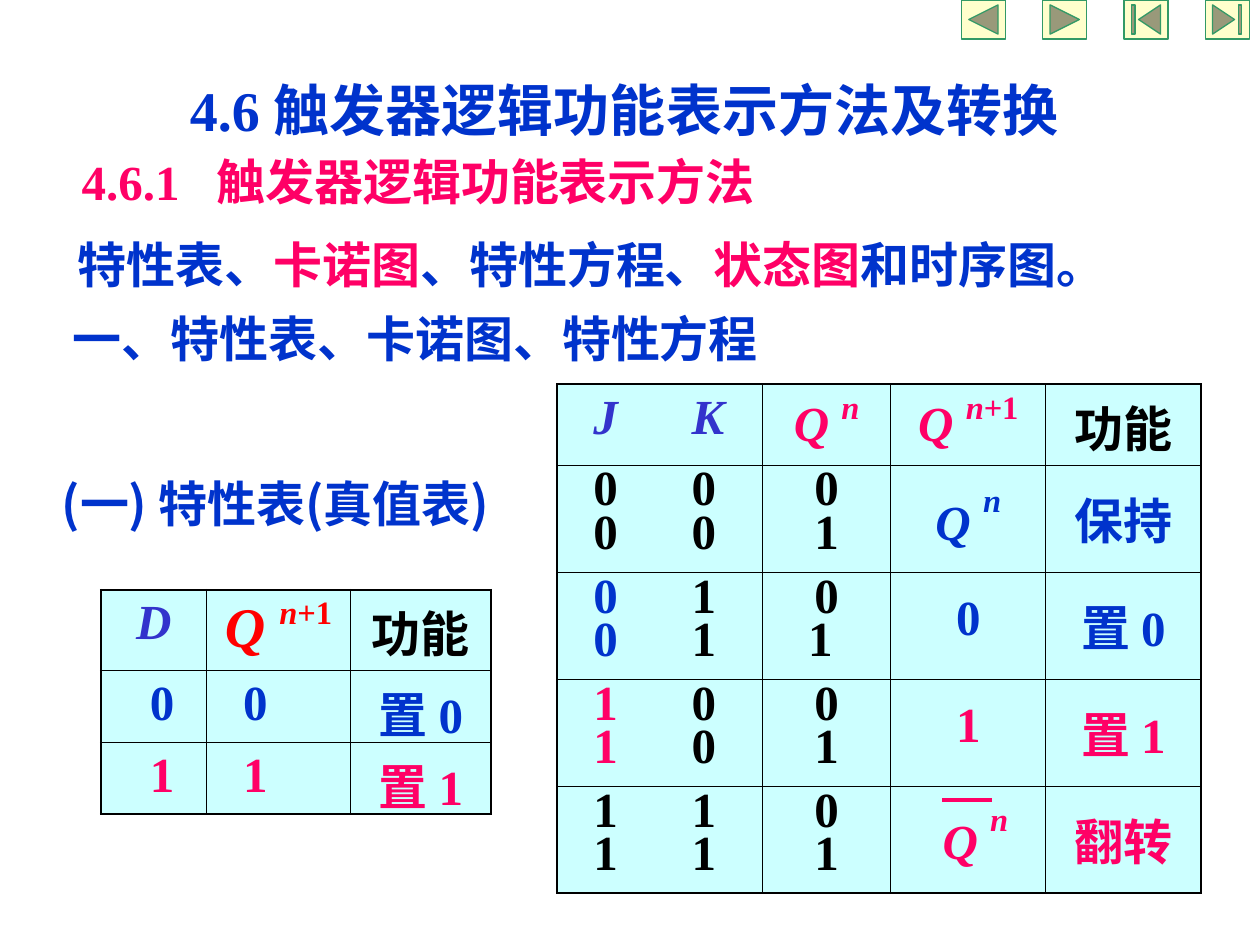
from lxml.etree import SubElement
from pptx import Presentation
from pptx.dml.color import RGBColor
from pptx.enum.shapes import MSO_CONNECTOR, MSO_SHAPE
from pptx.enum.text import MSO_ANCHOR, MSO_AUTO_SIZE, PP_ALIGN
from pptx.oxml.ns import qn
from pptx.util import Inches, Pt

BLUE = RGBColor(0x00, 0x33, 0xCC)
PINK = RGBColor(0xFF, 0x00, 0x66)
INDIGO = RGBColor(0x33, 0x33, 0xCC)
RED = RGBColor(0xFF, 0x00, 0x00)
BLACK = RGBColor(0x00, 0x00, 0x00)
CYAN = RGBColor(0xCC, 0xFF, 0xFF)
CREAM = RGBColor(0xFF, 0xFF, 0xCC)
GREEN = RGBColor(0x33, 0x99, 0x66)

SERIF = "Times New Roman"
HAN = "Noto Sans CJK SC"
COLS, ROWS = 100, 75  # slide grid
LEFT, MID = PP_ALIGN.LEFT, PP_ALIGN.CENTER


class Deck:
    """Holds the style, the grid and the current slide."""

    base = dict(size=28, name=SERIF, bold=True, italic=False, color=BLUE)

    def __init__(self):
        self.prs = Presentation()
        self.prs.slide_width, self.prs.slide_height = Inches(10), Inches(7.5)
        self.slide = self.prs.slides.add_slide(self.prs.slide_layouts[5])
        self.shapes = self.slide.shapes

    def x(self, col):
        return round(self.prs.slide_width * col / COLS)

    def y(self, row):
        return round(self.prs.slide_height * row / ROWS)

    def area(self, col, row, wide, high):
        return self.x(col), self.y(row), self.x(wide), self.y(high)

    def run(self, para, text, **fmt):
        run = para.add_run()
        run.text = text
        fmt = {**self.base, **fmt}
        run.font.color.rgb = fmt.pop("color")
        lift = fmt.pop("lift", 0)
        fmt["size"] = Pt(fmt["size"])
        for key, val in fmt.items():
            setattr(run.font, key, val)
        props = run._r.get_or_add_rPr()
        SubElement(props, qn("a:ea"), typeface=HAN)
        if lift:
            props.set("baseline", str(lift * 1000))

    def put(self, frame, lines, align=LEFT, gap=1.0, tab=None):
        """Fill a frame; each line is a list of (text, format) pairs."""
        for num, line in enumerate(lines):
            para = frame.paragraphs[0] if num == 0 else frame.add_paragraph()
            para.alignment, para.line_spacing = align, gap
            if tab:
                stops = SubElement(para._p.get_or_add_pPr(), qn("a:tabLst"))
                SubElement(stops, qn("a:tab"), pos=str(self.x(tab)), algn="l")
            for text, fmt in line:
                self.run(para, text, **fmt)

    def title(self, spot, line):
        head = self.shapes.title
        head.left, head.top, head.width, head.height = self.area(*spot)
        head.text_frame.auto_size = MSO_AUTO_SIZE.NONE
        head.text_frame.vertical_anchor = MSO_ANCHOR.TOP
        self.put(head.text_frame, [line], MID)

    def text(self, spot, line, tab=None):
        frame = self.shapes.add_textbox(*self.area(*spot)).text_frame
        frame.word_wrap = True
        self.put(frame, [line], tab=tab)

    def edge(self, cell, side, width):
        line = SubElement(cell._tc.get_or_add_tcPr(), qn("a:" + side), w=str(Pt(width)))
        fill = SubElement(line, qn("a:solidFill"))
        SubElement(fill, qn("a:srgbClr"), val=str(BLACK))

    def table(self, col, row, wides, highs, cells):
        """Draw a table of cells, each (lines, indent, drop, form)."""
        spot = self.area(col, row, sum(wides), sum(highs))
        grid = self.shapes.add_table(len(highs), len(wides), *spot).table
        grid.first_row = grid.horz_banding = False
        for num, wide in enumerate(wides):
            grid.columns[num].width = self.x(wide)
        for num, high in enumerate(highs):
            grid.rows[num].height = self.y(high)
        for r, line in enumerate(cells):
            for c, (lines, dent, drop, form) in enumerate(line):
                cell = grid.cell(r, c)
                cell.margin_left, cell.margin_right = self.x(1 + dent), self.x(1)
                cell.margin_top, cell.margin_bottom = self.y(0.5 + drop), 0
                outer = dict(lnL=c == 0, lnR=c == len(wides) - 1,
                             lnT=r == 0, lnB=r == len(highs) - 1)
                for side, rim in outer.items():
                    self.edge(cell, side, 1.08 if rim else 0.45)
                cell.fill.solid()
                cell.fill.fore_color.rgb = CYAN
                self.put(cell.text_frame, lines, **form)

    def rule(self, start, end, row):
        line = self.shapes.add_connector(
            MSO_CONNECTOR.STRAIGHT, self.x(start), self.y(row), self.x(end), self.y(row))
        line.line.color.rgb, line.line.width = PINK, Pt(2.25)
        SubElement(line._element.spPr, qn("a:effectLst"))

    def button(self, kind, spot):
        shape = self.shapes.add_shape(kind, *self.area(*spot))
        shape.shadow.inherit = False
        shape.fill.solid()
        shape.fill.fore_color.rgb = CREAM
        shape.line.color.rgb, shape.line.width = GREEN, Pt(0.75)


def item(text, color=BLUE, **fmt):
    return text, dict(color=color, **fmt)


def cell(*lines, dent=0, drop=0, align=MID, **form):
    return lines, dent, drop, dict(align=align, **form)


def state(color, power, size=28, lift=40):
    """Runs for Q with a raised n or n+1."""
    runs = [item("Q ", color, size=size, italic=True),
            item("n", color, size=32, italic=True, lift=lift)]
    return runs + ([item("+1", color, size=32, lift=lift)] if power == "n+1" else [])


def d_cells():
    rows = [[cell([item("D", INDIGO, italic=True)]),
             cell(state(RED, "n+1", 32)),
             cell([item("功能", BLACK)])]]
    for bit, color in (("0", BLUE), ("1", PINK)):
        rows.append([cell([item(bit, color)], dent=2.9, align=LEFT),
                     cell([item(bit, color)], dent=1.9, align=LEFT),
                     cell([item("置 " + bit, color)])])
    return rows


def jk_cells():
    pair = dict(dent=1.9, align=LEFT, tab=7.8)
    rows = [[cell([item("J\tK", INDIGO, italic=True)], **pair),
             cell(state(PINK, "n")),
             cell(state(PINK, "n+1")),
             cell([item("功能", BLACK)])]]
    modes = [("0", "0", BLACK, "1", state(BLUE, "n", lift=50), 2, "保持", BLUE),
             ("0", "1", BLUE, "1 ", [item("0")], 1.8, "置 0", BLUE),
             ("1", "0", PINK, "1", [item("1", PINK)], 1.8, "置 1", PINK),
             ("1", "1", BLACK, "1", [item(" ", PINK, size=32)] + state(PINK, "n", lift=50),
              1.8, "翻转", PINK)]
    for j, k, tint, last, after, drop, role, color in modes:
        both = [item(j, tint), item("\t" + k, BLACK)]
        rows.append([cell(both, both, gap=0.8, **pair),
                     cell([item("0", BLACK)], [item(last, BLACK)], gap=0.8),
                     cell(after, drop=drop, gap=0.8),
                     cell([item(role, color)], drop=1.8, gap=0.8)])
    return rows


def main():
    deck = Deck()
    deck.title((3.3, 5.5, 92.5, 6.4), [item("4.6 触发器逻辑功能表示方法及转换", size=32)])
    deck.text((5.5, 11.5, 71.4, 5.7),
              [item("4.6.1\t", PINK), item("触发器逻辑功能表示方法", PINK, name=HAN)], tab=10.7)
    deck.text((4.8, 24, 63.3, 5.7),
              [item("一、", name=HAN), item("特性表、卡诺图、特性方程")])
    deck.text((5.2, 18.1, 90, 5.7),
              [item("特性表、"), item("卡诺图", PINK), item("、特性方程、"),
               item("状态图", PINK), item("和时序图。")])
    deck.text((3.9, 37.1, 46, 5.7),
              [item("(一) ", name=HAN), item("特性表"), item("(", name=HAN),
               item("真值表"), item(")", name=HAN)])
    deck.table(8, 46.8, (8.4, 11.4, 11.2), (6.4, 5.7, 5.7), d_cells())
    deck.table(44.2, 30.5, (16.3, 10.2, 12.3, 12.3), (6.4,) + (8.5,) * 4, jk_cells())
    deck.rule(74.8, 78.7, 63.5)
    kinds = (MSO_SHAPE.ACTION_BUTTON_BACK_OR_PREVIOUS, MSO_SHAPE.ACTION_BUTTON_FORWARD_OR_NEXT,
             MSO_SHAPE.ACTION_BUTTON_BEGINNING, MSO_SHAPE.ACTION_BUTTON_END)
    for num, kind in enumerate(kinds):
        deck.button(kind, (76.3 + 6.45 * num, 0, 3.5, 3.1))
    deck.prs.save("out.pptx")


if __name__ == "__main__":
    main()
